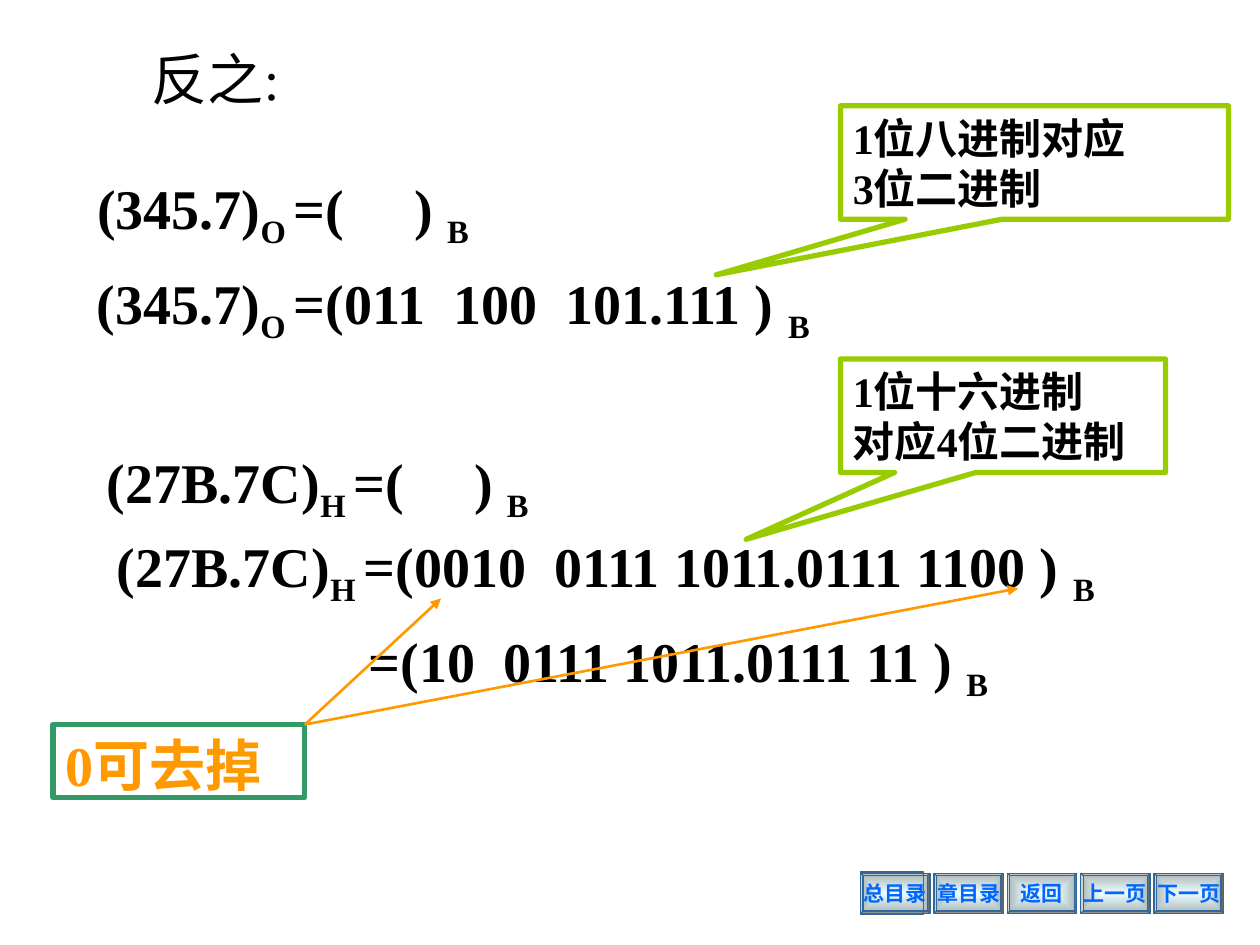
from lxml.etree import SubElement
from pptx import Presentation
from pptx.dml.color import RGBColor
from pptx.enum.shapes import MSO_CONNECTOR, MSO_SHAPE
from pptx.enum.text import MSO_ANCHOR, MSO_AUTO_SIZE, PP_ALIGN
from pptx.oxml.ns import qn
from pptx.util import Inches, Pt

THEME = {
    "font": "Times New Roman",
    "ink": "000000", "accent": "FF9900", "callout": "99CC00", "note": "339966",
    "button_text": "0066FF", "button_line": "336699",
    "button_center": "ECFDFE", "button_edge": "AAB6B7",
    "large": 32, "medium": 24, "small": 12,
}

TITLE = ("反之:", (0.5, 0.3, 2.42, 0.69))
# Pieces alternate between normal text and subscript.
EQUATIONS = [
    (("(345.7)", "O ", "=(     ) ", "B"), (0.67, 1.33, 3.92, 0.75)),
    (("(345.7)", "O ", "=(011  100  101.111 ) ", "B"), (0.67, 2.08, 6.33, 0.75)),
    (("(27B.7C)", "H ", "=(     ) ", "B"), (0.75, 3.5, 3.92, 0.75)),
    (("(27B.7C)", "H ", "=(0010  0111 1011.0111 1100 ) ", "B"),
     (0.83, 4.17, 8.58, 0.75)),
    (("=(10  0111 1011.0111 11 ) ", "B"), (2.83, 4.92, 6.33, 0.75)),
]
CALLOUTS = [
    (("1位八进制对应", "3位二进制"), (6.67, 0.84, 3.08, 0.9), (-0.82, 0.99)),
    (("1位十六进制", "对应4位二进制"), (6.67, 2.85, 2.58, 0.9), (-0.79, 1.09)),
]
NOTE = ("0可去掉", (0.42, 5.75, 2, 0.58))
ARROW_TIPS = [(3.5, 4.75), (8.08, 4.67)]
BUTTONS = ["总目录", "章目录", "返回", "上一页", "下一页"]
FIRST_BUTTON = (6.83, 6.93, 0.55, 0.32)
LAST_BUTTON_LEFT = 9.16
BUTTON_FRAME = (6.83, 6.92, 0.5, 0.34)


def color(name):
    return RGBColor.from_string(THEME[name])


def inches(values):
    return [Inches(value) for value in values]


def place(shape, box):
    for name, value in zip(("left", "top", "width", "height"), inches(box)):
        setattr(shape, name, value)


def set_line(shape, name, width):
    shape.line.color.rgb = color(name)
    shape.line.width = Pt(width)


def write(shape, lines, size="large", ink="ink", bold=True,
          align=PP_ALIGN.LEFT, anchor=MSO_ANCHOR.TOP, wrap=True):
    """Fill a shape with lines, each a sequence of alternating normal and subscript pieces."""
    frame = shape.text_frame
    frame_format = {"auto_size": MSO_AUTO_SIZE.NONE, "word_wrap": wrap,
                    "vertical_anchor": anchor}
    for name, value in frame_format.items():
        setattr(frame, name, value)
    for number, pieces in enumerate(lines):
        para = frame.add_paragraph() if number else frame.paragraphs[0]
        para.alignment = align
        para.space_before = Pt(0)
        properties = para._p.get_or_add_pPr()
        properties.set("marL", "0")
        properties.set("indent", "0")
        SubElement(properties, qn("a:buNone"))
        for index, piece in enumerate(pieces):
            span = para.add_run()
            span.text = piece
            font_format = {"name": THEME["font"], "size": Pt(THEME[size]), "bold": bold}
            for name, value in font_format.items():
                setattr(span.font, name, value)
            span.font.color.rgb = color(ink)
            if index % 2:
                span.font._element.set("baseline", "-25000")


def add_outline(shapes, kind, box, line, width):
    shape = shapes.add_shape(kind, *inches(box))
    shape.shadow.inherit = False
    shape.fill.background()
    set_line(shape, line, width)
    return shape


def fill_from_center(shape):
    shape.fill.gradient()
    for stop, name in zip(shape.fill.gradient_stops, ("button_center", "button_edge")):
        stop.color.rgb = color(name)
    gradient = shape._element.spPr.find(qn("a:gradFill"))
    gradient.remove(gradient.find(qn("a:lin")))
    shade = SubElement(gradient, qn("a:path"), path="rect")
    SubElement(shade, qn("a:fillToRect"), l="50000", t="50000", r="50000", b="50000")


def add_buttons(page):
    left, top, width, height = FIRST_BUTTON
    pitch = (LAST_BUTTON_LEFT - left) / (len(BUTTONS) - 1)
    for index, label in enumerate(BUTTONS):
        box = (left + index * pitch, top, width, height)
        button = add_outline(page.shapes, MSO_SHAPE.BEVEL, box, "button_line", 0.75)
        button.adjustments[0] = 0.06
        fill_from_center(button)
        write(button, [[label]], "small", "button_text",
              align=PP_ALIGN.CENTER, anchor=MSO_ANCHOR.MIDDLE, wrap=False)
    add_outline(page.shapes, MSO_SHAPE.RECTANGLE, BUTTON_FRAME, "button_line", 0.75)


def add_equations(page):
    for index, (pieces, box) in enumerate(EQUATIONS):
        if index:
            equation = page.shapes.add_textbox(*inches(box))
        else:
            equation = page.placeholders[1]
            place(equation, box)
        write(equation, [pieces])


def add_callouts(page):
    for lines, box, tip in CALLOUTS:
        callout = add_outline(page.shapes, MSO_SHAPE.RECTANGULAR_CALLOUT, box, "callout", 3)
        for index, value in enumerate(tip):
            callout.adjustments[index] = value
        write(callout, [[line] for line in lines], "medium", anchor=MSO_ANCHOR.MIDDLE)


def add_note(page):
    text, box = NOTE
    group = page.shapes.add_group_shape()
    note = add_outline(group.shapes, MSO_SHAPE.RECTANGLE, box, "note", 3)
    write(note, [[text]], ink="accent")
    left, top, width, _ = box
    for tip in ARROW_TIPS:
        arrow = group.shapes.add_connector(
            MSO_CONNECTOR.STRAIGHT, *inches((left + width, top, *tip)))
        set_line(arrow, "accent", 1.5)
        SubElement(arrow.line._get_or_add_ln(), qn("a:tailEnd"), type="triangle")
        SubElement(arrow._element.spPr, qn("a:effectLst"))


def main():
    deck = Presentation()
    deck.slide_width, deck.slide_height = Inches(10), Inches(7.5)
    page = deck.slides.add_slide(deck.slide_layouts[1])
    add_buttons(page)
    text, box = TITLE
    place(page.shapes.title, box)
    write(page.shapes.title, [[text]], bold=False, align=PP_ALIGN.CENTER)
    add_equations(page)
    add_callouts(page)
    add_note(page)
    deck.save("out.pptx")


if __name__ == "__main__":
    main()
